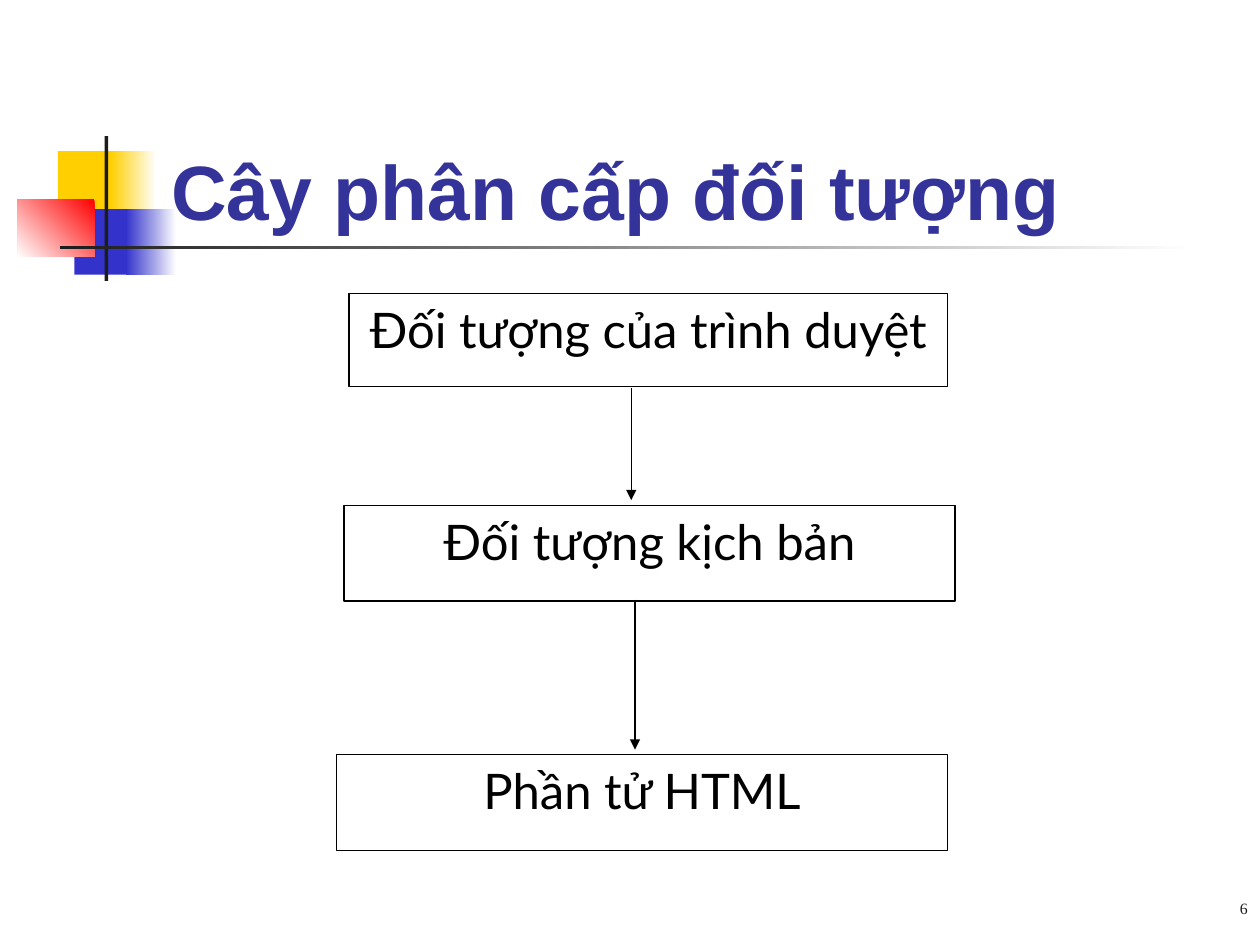
import pptx
import pptx.util
import pptx.dml.color
import pptx.enum.shapes
import pptx.enum.text
import pptx.oxml.ns
import lxml.etree

Inches = pptx.util.Inches
Pt = pptx.util.Pt
RGBColor = pptx.dml.color.RGBColor
Align = pptx.enum.text.PP_ALIGN
Anchor = pptx.enum.text.MSO_ANCHOR
qn = pptx.oxml.ns.qn

WHITE = RGBColor(0xFF, 0xFF, 0xFF)
BLACK = RGBColor(0, 0, 0)
CHARCOAL = RGBColor(0x1C, 0x1C, 0x1C)
YELLOW = RGBColor(0xFF, 0xCF, 0x01)
BLUE = RGBColor(0x33, 0x33, 0xCC)
RED = RGBColor(0xFF, 0, 0)
NAVY = RGBColor(0x33, 0x33, 0x99)

presentation = pptx.Presentation()
presentation.slide_width = Inches(10)
presentation.slide_height = Inches(7.5)
slide = presentation.slides.add_slide(presentation.slide_layouts[6])


def add_rectangle(left, top, width, height, colors, angle=180):
    shape = slide.shapes.add_shape(
        pptx.enum.shapes.MSO_SHAPE.RECTANGLE,
        Inches(left), Inches(top), Inches(width), Inches(height))
    shape.shadow.inherit = False
    shape.line.fill.background()
    if len(colors) == 1:
        shape.fill.solid()
        shape.fill.fore_color.rgb = colors[0]
    else:
        shape.fill.gradient()
        shape.fill.gradient_angle = angle
        for stop, color, position in zip(shape.fill.gradient_stops, colors, (0, 1)):
            stop.color.rgb = color
            stop.position = position
    return shape


def set_text(shape, text, size, font_name, color, align, anchor, bold=False):
    frame = shape.text_frame
    frame.word_wrap = True
    frame.vertical_anchor = anchor
    paragraph = frame.paragraphs[0]
    paragraph.text = text
    paragraph.alignment = align
    paragraph.font.size = Pt(size)
    paragraph.font.name = font_name
    paragraph.font.color.rgb = color
    paragraph.font.bold = bold


ornaments = [
    (0.46, 1.2, 0.48, 0.52, [YELLOW]),
    (0.88, 1.2, 0.36, 0.52, [WHITE, YELLOW]),
    (0.59, 1.66, 0.46, 0.52, [BLUE]),
    (1, 1.66, 0.4, 0.52, [WHITE, BLUE]),
    (0.14, 1.58, 0.61, 0.46, [RED, WHITE], 225),
    (0.83, 1.08, 0.03, 1.15, [CHARCOAL]),
    (0.48, 1.95, 9, 0.03, [WHITE, CHARCOAL]),
]
for ornament in ornaments:
    add_rectangle(*ornament)

title = slide.shapes.add_textbox(Inches(1.26), Inches(0.67), Inches(8.52), Inches(1.25))
set_text(title, "Cây phân cấp đối tượng", 44, "Arial", NAVY, Align.LEFT, Anchor.BOTTOM, True)

levels = [
    ("Đối tượng của trình duyệt", 2.77, 2.33, 4.75, 0.74),
    ("Đối tượng kịch bản", 2.73, 4.01, 4.85, 0.76),
    ("Phần tử HTML", 2.67, 5.99, 4.85, 0.76),
]
for text, left, top, width, height in levels:
    box = add_rectangle(left, top, width, height, [WHITE])
    box.line.color.rgb = BLACK
    box.line.width = Pt(0.74)
    set_text(box, text, 28, "Lato", BLACK, Align.CENTER, Anchor.TOP)

for x, start, end in [(5.01, 3.08, 3.97), (5.04, 4.76, 5.95)]:
    arrow = slide.shapes.add_connector(
        pptx.enum.shapes.MSO_CONNECTOR.STRAIGHT,
        Inches(x), Inches(start), Inches(x), Inches(end))
    arrow.line.color.rgb = BLACK
    arrow.line.width = Pt(0.74)
    lxml.etree.SubElement(arrow.line._get_or_add_ln(), qn("a:tailEnd"), type="triangle")
    lxml.etree.SubElement(arrow._element.spPr, qn("a:effectLst"))

page_number = slide.shapes.add_textbox(Inches(5.58), Inches(6.83), Inches(4.42), Inches(0.5))
set_text(page_number, "6", 9, "Times New Roman", CHARCOAL, Align.RIGHT, Anchor.BOTTOM)

presentation.save("out.pptx")
